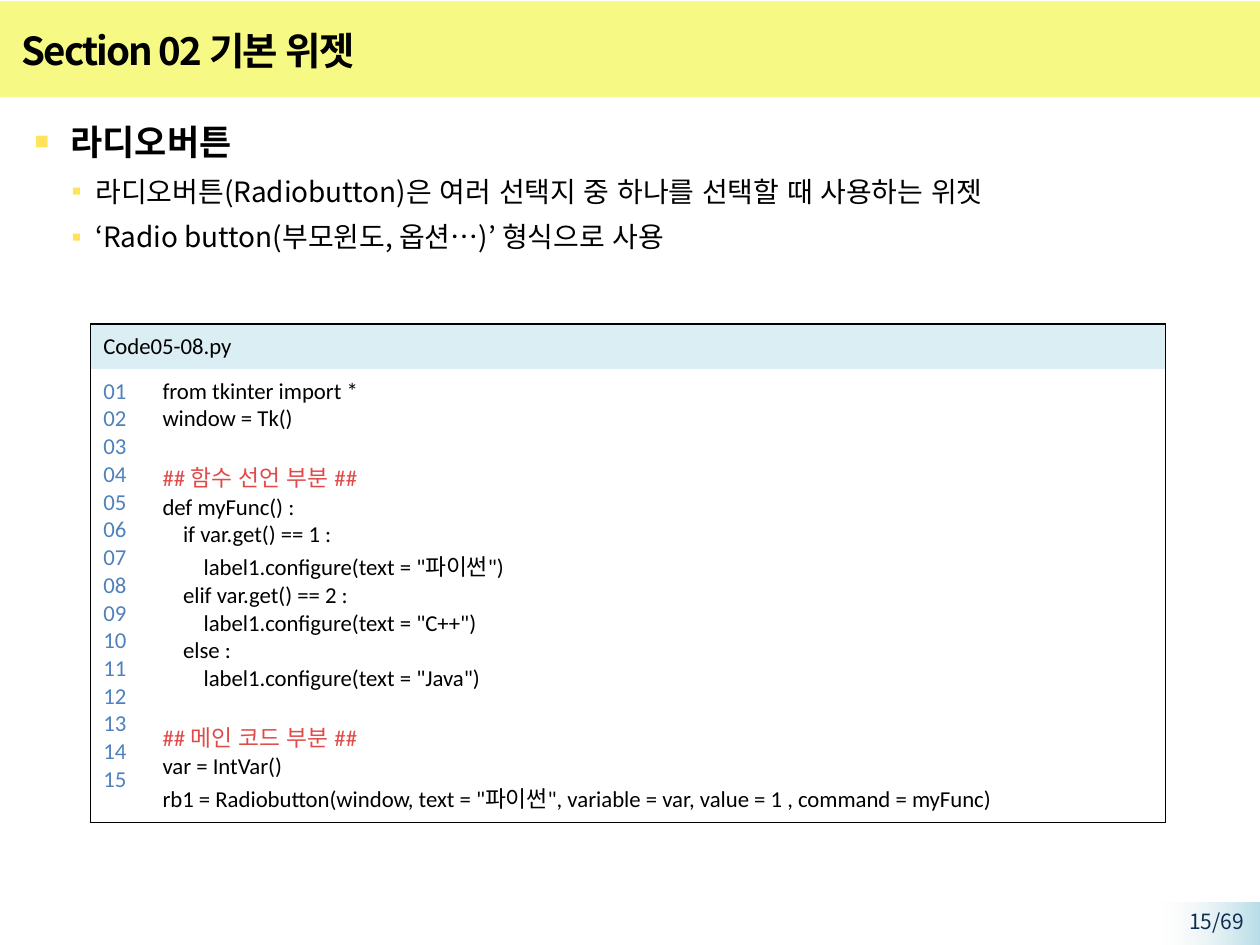
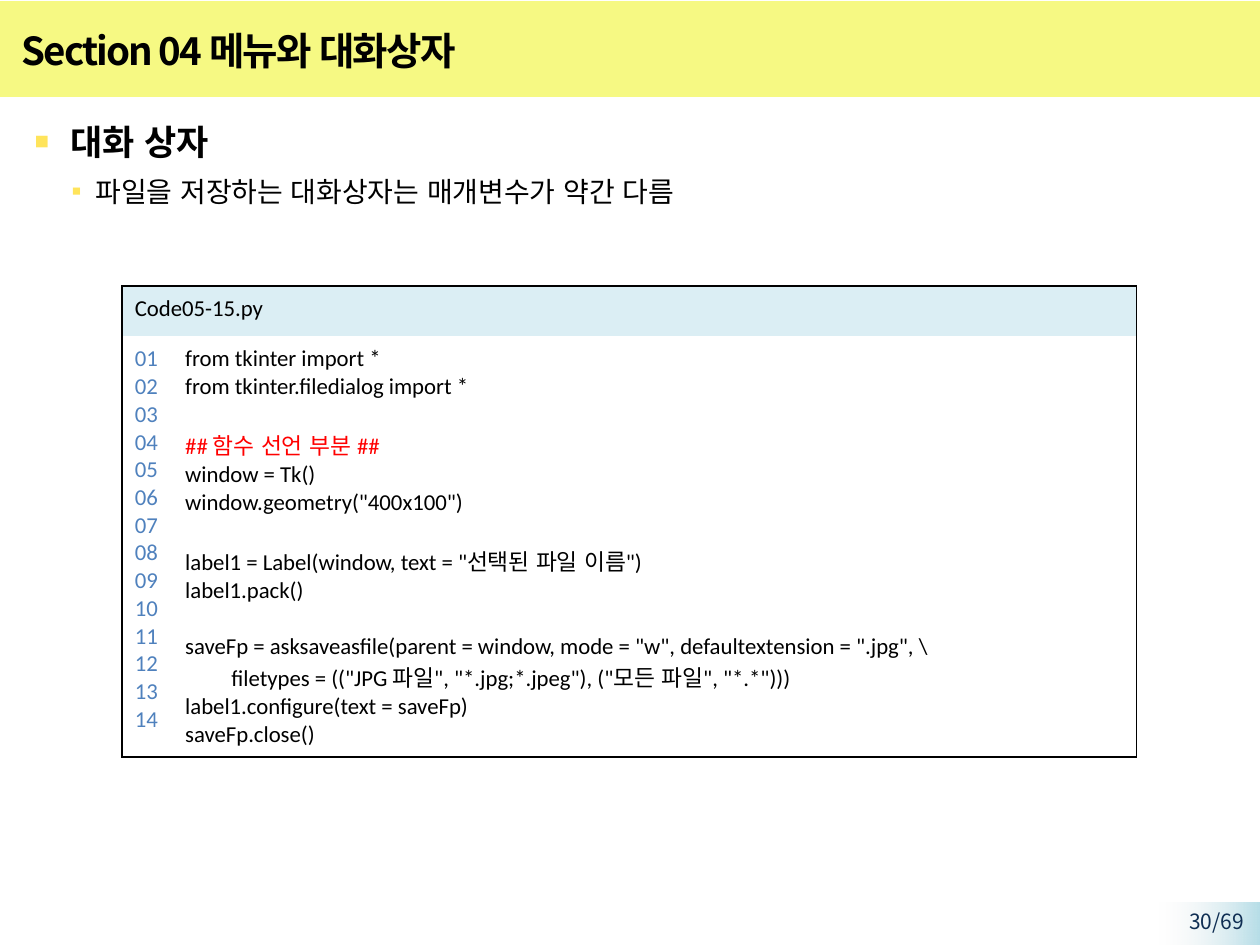
"""Builds two lecture slides on tkinter widgets, each with a code listing."""
from lxml import etree
from pptx import Presentation
from pptx.dml.color import RGBColor
from pptx.enum.lang import MSO_LANGUAGE_ID
from pptx.enum.shapes import MSO_SHAPE
from pptx.enum.text import MSO_ANCHOR, PP_ALIGN
from pptx.oxml.ns import qn
from pptx.util import Inches, Pt

RECTANGLE = MSO_SHAPE.RECTANGLE
MIDDLE = MSO_ANCHOR.MIDDLE
RIGHT = PP_ALIGN.RIGHT
KOREAN_LANGUAGE = MSO_LANGUAGE_ID.KOREAN
KOREAN = "Noto Sans CJK KR"
LATIN = "Calibri"
COLORS = {
    "band": "F6F983", "corner": "B7DEE8", "corner_fade": "F2F2F2",
    "page": "0F2E53", "text": "000000", "bullet": "FFE45B",
    "code_header": "DBEEF4", "line_number": "4F81BD",
    "soft_red": "E04B49", "red": "FF0000",
}
BULLET_LEVELS = [
    {"size": 20, "bold": True, "margin": 0.39, "indent": -0.29, "scale": 130},
    {"size": 16, "bold": False, "margin": 0.59, "indent": -0.19, "scale": 100},
]
LECTURE = [
    {
        "title": "Section 02 기본 위젯",
        "page": "15/69",
        "bullets": [
            (0, "라디오버튼"),
            (1, "라디오버튼(Radiobutton)은 여러 선택지 중 하나를 선택할 때 사용하는 위젯"),
            (1, "‘Radio button(부모윈도, 옵션…)’ 형식으로 사용"),
        ],
        "file": "Code05-08.py",
        "place": (0.72, 2.57),
        "columns": (0.47, 8.06),
        "rows": (0.35, 3.6),
        "comment": "soft_red",
        "code": '''from tkinter import *
window = Tk()

## 함수 선언 부분 ##
def myFunc() :
    if var.get() == 1 :
        label1.configure(text = "파이썬")
    elif var.get() == 2 :
        label1.configure(text = "C++")
    else :
        label1.configure(text = "Java")

## 메인 코드 부분 ##
var = IntVar()
rb1 = Radiobutton(window, text = "파이썬", variable = var, value = 1 , command = myFunc)''',
    },
    {
        "title": "Section 04 메뉴와 대화상자",
        "page": "30/69",
        "bullets": [
            (0, "대화 상자"),
            (1, "파일을 저장하는 대화상자는 매개변수가 약간 다름"),
        ],
        "file": "Code05-15.py",
        "place": (0.97, 2.27),
        "columns": (0.4, 7.65),
        "rows": (0.4, 3.34),
        "comment": "red",
        "code": '''from tkinter import *
from tkinter.filedialog import *

## 함수 선언 부분 ##
window = Tk()
window.geometry("400x100")

label1 = Label(window, text = "선택된 파일 이름")
label1.pack()

saveFp = asksaveasfile(parent = window, mode = "w", defaultextension = ".jpg", \\
         filetypes = (("JPG 파일", "*.jpg;*.jpeg"), ("모든 파일", "*.*")))
label1.configure(text = saveFp)
saveFp.close()''',
    },
]


def write(paragraph, text, size, color="text", font=KOREAN, bold=False):
    paragraph.text = text
    for run in paragraph.runs:
        run.font.size = Pt(size)
        run.font.bold = bold
        run.font.name = font
        run.font.language_id = KOREAN_LANGUAGE
        run.font.color.rgb = RGBColor.from_string(COLORS[color])
        etree.SubElement(run.font._element, qn("a:ea"), typeface=KOREAN)
    if not text:
        line_end = etree.SubElement(paragraph._p, qn("a:endParaRPr"), sz=str(size * 100))
        etree.SubElement(line_end, qn("a:latin"), typeface=font)


def add_box(slide, left, top, width, height):
    box = slide.shapes.add_textbox(Inches(left), Inches(top), Inches(width), Inches(height))
    box.text_frame.word_wrap = True
    return box.text_frame


prs = Presentation()
prs.slide_width = Inches(10)
prs.slide_height = Inches(7.5)

for lesson in LECTURE:
    slide = prs.slides.add_slide(prs.slide_layouts[6])

    band = slide.shapes.add_shape(RECTANGLE, 0, Inches(0.01), Inches(10), Inches(0.76))
    band.fill.solid()
    band.fill.fore_color.rgb = RGBColor.from_string(COLORS["band"])
    corner = slide.shapes.add_shape(RECTANGLE, Inches(9.2), Inches(7.16), Inches(0.8), Inches(0.34))
    corner.fill.gradient()
    corner.fill.gradient_angle = 180
    for stop, name in zip(corner.fill.gradient_stops, ("corner", "corner_fade")):
        stop.color.rgb = RGBColor.from_string(COLORS[name])
    fade = corner.element.xpath(".//a:gs[2]/a:srgbClr")[0]
    etree.SubElement(fade, qn("a:alpha"), val="0")
    for decoration in (band, corner):
        decoration.line.fill.background()
        decoration.shadow.inherit = False

    page = add_box(slide, 9.05, 7.16, 0.92, 0.23).paragraphs[0]
    page.alignment = RIGHT
    write(page, lesson["page"], 12, "page")

    title = add_box(slide, 0.07, 0.14, 8.51, 0.52)
    title.vertical_anchor = MIDDLE
    write(title.paragraphs[0], lesson["title"], 22, bold=True)
    title.paragraphs[0].runs[0].font._element.set("spc", "-100")

    body = add_box(slide, 0.07, 0.84, 9.8, 1.4)
    for index, (level, text) in enumerate(lesson["bullets"]):
        look = BULLET_LEVELS[level]
        bullet = body.add_paragraph() if index else body.paragraphs[0]
        bullet.level = level
        properties = bullet._p.get_or_add_pPr()
        properties.set("marL", str(Inches(look["margin"])))
        properties.set("indent", str(Inches(look["indent"])))
        bullet_color = etree.SubElement(properties, qn("a:buClr"))
        etree.SubElement(bullet_color, qn("a:srgbClr"), val=COLORS["bullet"])
        etree.SubElement(properties, qn("a:buSzPct"), val=str(look["scale"] * 1000))
        etree.SubElement(properties, qn("a:buFont"), typeface=LATIN)
        etree.SubElement(properties, qn("a:buChar"), char="▪")
        bullet.line_spacing = 1.2
        if index:
            bullet.space_before = Pt(3)
        write(bullet, text, look["size"], bold=look["bold"])

    left, top = lesson["place"]
    listing = slide.shapes.add_table(
        2, 2, Inches(left), Inches(top),
        Inches(sum(lesson["columns"])), Inches(sum(lesson["rows"]))).table
    listing.first_row = False
    listing.horz_banding = False
    for column, width in zip(listing.columns, lesson["columns"]):
        column.width = Inches(width)
    for row, height in zip(listing.rows, lesson["rows"]):
        row.height = Inches(height)
    listing.cell(0, 0).merge(listing.cell(0, 1))

    for row in range(2):
        for column in range(2):
            cell = listing.cell(row, column)
            cell.margin_left = cell.margin_right = Inches(0.1)
            cell.margin_top = cell.margin_bottom = Inches(0.07)
            outer = {"lnL": column == 0, "lnR": column == 1 or row == 0,
                     "lnT": row == 0, "lnB": row == 1}
            for side, drawn in outer.items():
                border = etree.SubElement(cell._tc.get_or_add_tcPr(), qn(f"a:{side}"), w=str(Pt(1)))
                paint = etree.SubElement(border, qn("a:solidFill" if drawn else "a:noFill"))
                if drawn:
                    etree.SubElement(paint, qn("a:srgbClr"), val=COLORS["text"])
            if row == 0:
                cell.fill.solid()
                cell.fill.fore_color.rgb = RGBColor.from_string(COLORS["code_header"])
            else:
                cell.fill.background()

    write(listing.cell(0, 0).text_frame.paragraphs[0], lesson["file"], 13, font=LATIN)
    numbers = listing.cell(1, 0).text_frame
    code = listing.cell(1, 1).text_frame
    for index, line in enumerate(lesson["code"].split("\n")):
        number = numbers.add_paragraph() if index else numbers.paragraphs[0]
        statement = code.add_paragraph() if index else code.paragraphs[0]
        write(number, f"{index + 1:02}", 13, "line_number", LATIN)
        color = lesson["comment"] if line.startswith("##") else "text"
        write(statement, line, 13, color, LATIN)

prs.save("out.pptx")
